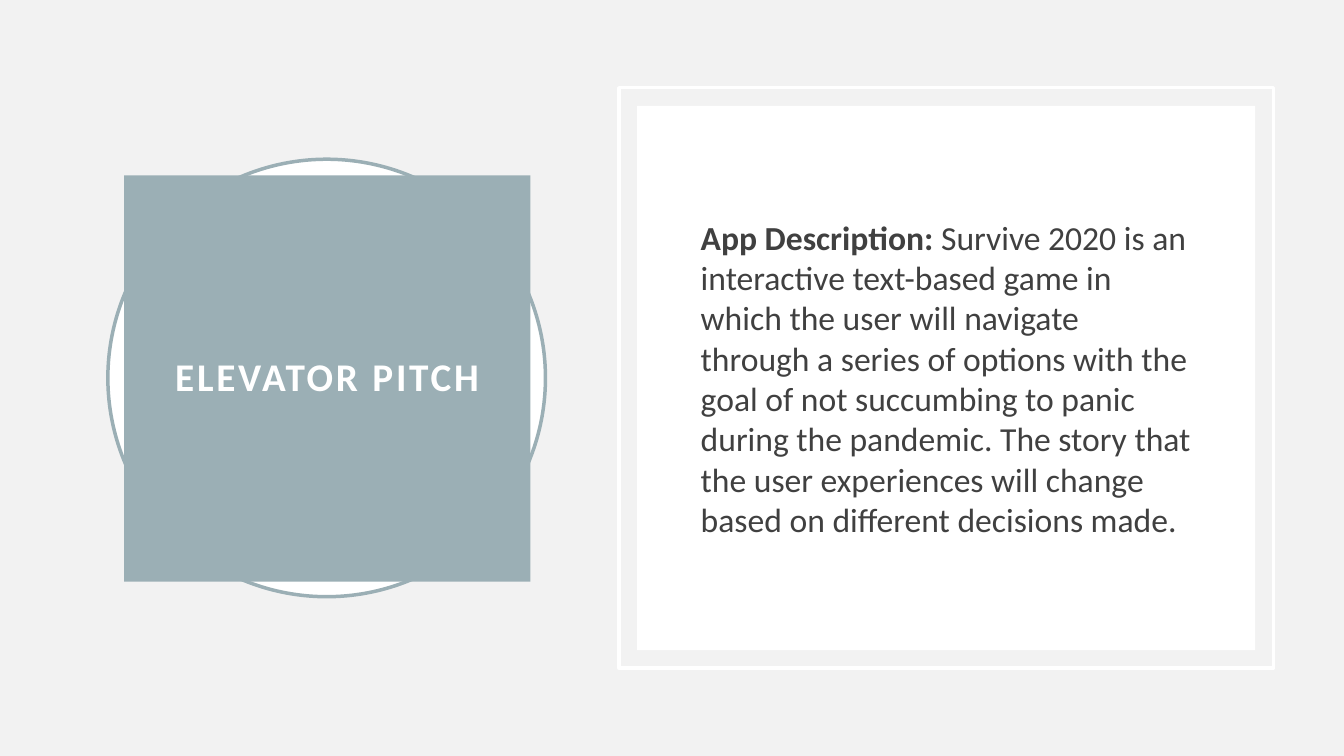
from pptx import Presentation
from pptx.dml.color import RGBColor
from pptx.enum.shapes import MSO_SHAPE
from pptx.enum.text import MSO_ANCHOR, MSO_AUTO_SIZE, PP_ALIGN
from pptx.oxml.ns import qn
from pptx.util import Inches, Pt
from lxml import etree

WHITE, TEAL, GREY, TEXT = "FFFFFF", "9BAFB5", "F2F2F2", "404040"
DESCRIPTION = (
    "Survive 2020 is an interactive text-based game in which the user will "
    "navigate through a series of options with the goal of not succumbing to "
    "panic during the pandemic. The story that the user experiences will "
    "change based on different decisions made."
)


def paint(color_format, color):
    color_format.rgb = RGBColor.from_string(color)


def fill_with(fill, color):
    fill.solid()
    paint(fill.fore_color, color)


def add_panel(s, kind, box, fill=None, line=None):
    sp = s.shapes.add_shape(kind, *map(Inches, box))
    sp.shadow.inherit = False
    if fill:
        fill_with(sp.fill, fill)
    else:
        sp.fill.background()
    if line:
        paint(sp.line.color, line)
        sp.line.width = Pt(2.5)
    else:
        sp.line.fill.background()


def place(s, sp, box, inset=None):
    """Move a placeholder to its box, in front of the panels."""
    sp.left, sp.top, sp.width, sp.height = map(Inches, box)
    s.shapes._spTree.append(sp._element)
    tf = sp.text_frame
    tf.word_wrap = True
    tf.auto_size = MSO_AUTO_SIZE.NONE
    tf.vertical_anchor = MSO_ANCHOR.MIDDLE
    if inset is not None:
        tf.margin_left = tf.margin_right = Inches(inset)
        tf.margin_top = tf.margin_bottom = Inches(inset)
    return tf.paragraphs[0]


def add_text(p, text, size=24, color=TEXT, bold=False, spacing=None):
    r = p.add_run()
    r.text = text
    r.font.name = "Calibri"
    r.font.size = Pt(size)
    r.font.bold = bold
    paint(r.font.color, color)
    if spacing:
        r._r.get_or_add_rPr().set("spc", str(int(spacing * 100)))


def remove_bullet(p):
    pPr = p._p.get_or_add_pPr()
    pPr.set("marL", "0")
    pPr.set("indent", "0")
    etree.SubElement(pPr, qn("a:buNone"))


def main():
    prs = Presentation()
    prs.slide_width, prs.slide_height = Inches(13.33), Inches(7.5)
    s = prs.slides.add_slide(prs.slide_layouts[1])
    fill_with(s.background.fill, GREY)
    title, body = s.placeholders

    # Ring and double frame
    add_panel(s, MSO_SHAPE.OVAL, (1.07, 1.58, 4.34, 4.34), fill=WHITE, line=TEAL)
    add_panel(s, MSO_SHAPE.RECTANGLE, (6.14, 0.87, 6.49, 5.76), line=WHITE)
    add_panel(s, MSO_SHAPE.RECTANGLE, (6.32, 1.05, 6.13, 5.4), fill=WHITE)

    # Title
    fill_with(title.fill, TEAL)
    p = place(s, title, (1.23, 1.74, 4.03, 4.03), inset=0.2)
    p.alignment = PP_ALIGN.CENTER
    p.line_spacing = 0.9
    add_text(p, "ELEVATOR PITCH", size=28, color=WHITE, bold=True, spacing=2)

    # Description
    p = place(s, body, (6.85, 1.58, 5.09, 4.34))
    p.space_before = Pt(10)
    remove_bullet(p)
    add_text(p, "App Description: ", bold=True)
    add_text(p, DESCRIPTION)

    prs.save("out.pptx")


main()
